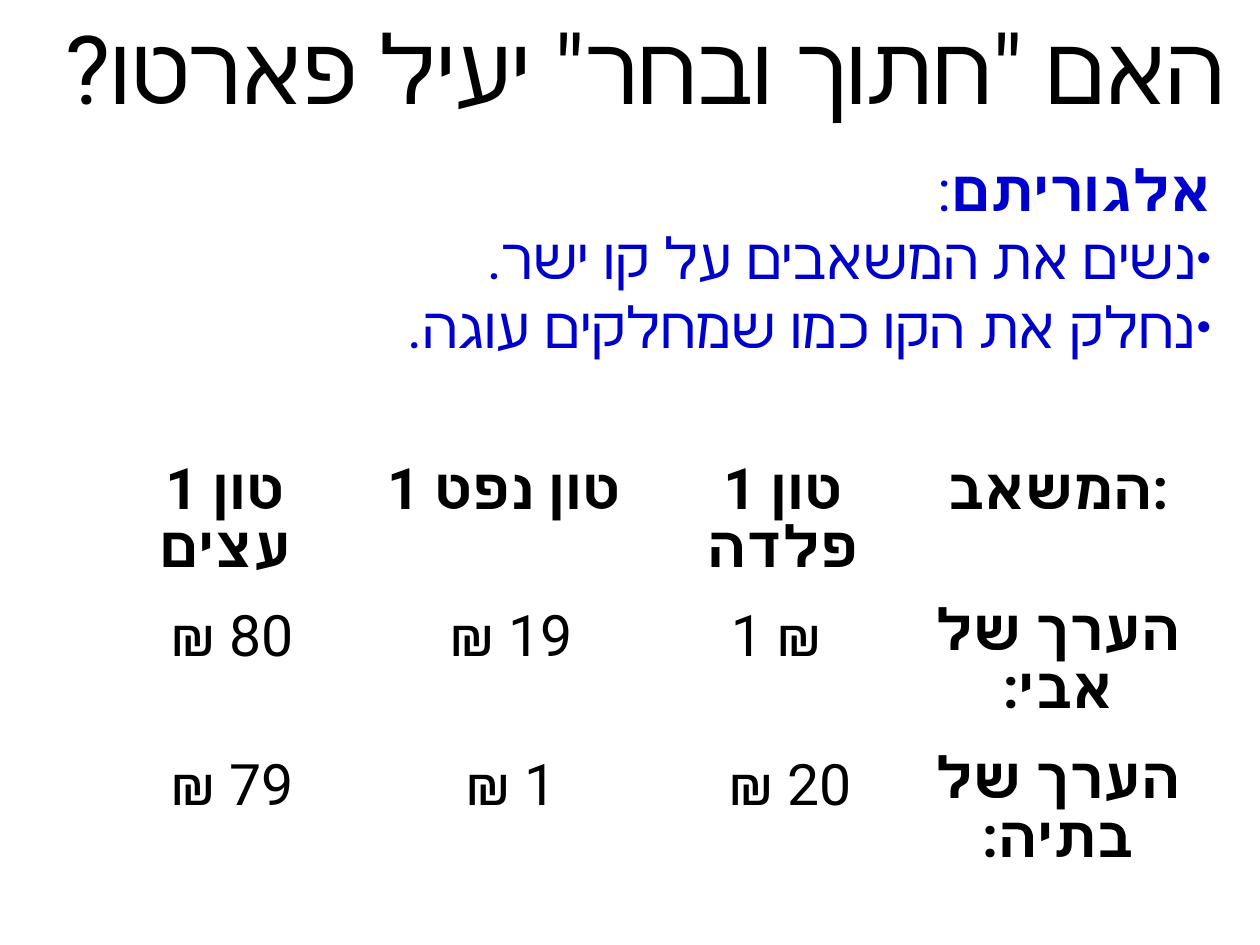
from dataclasses import dataclass

from lxml import etree
from pptx import Presentation
from pptx.dml.color import RGBColor
from pptx.enum.text import MSO_ANCHOR, MSO_AUTO_SIZE, PP_ALIGN
from pptx.oxml.ns import qn
from pptx.util import Cm, Pt

CENTER, RIGHT = PP_ALIGN.CENTER, PP_ALIGN.RIGHT
TOP, MIDDLE = MSO_ANCHOR.TOP, MSO_ANCHOR.MIDDLE
NO_AUTOFIT = MSO_AUTO_SIZE.NONE

GRID_COLUMNS, GRID_ROWS = 28, 21
SLIDE_WIDTH, SLIDE_HEIGHT = Cm(28), Cm(21)
FONT = "Roboto"
BLACK, BLUE = "000000", "0000CC"
TIGHT_LINES = 0.87


def columns(count: float) -> int:
    return round(SLIDE_WIDTH * count / GRID_COLUMNS)


def rows(count: float) -> int:
    return round(SLIDE_HEIGHT * count / GRID_ROWS)


@dataclass(frozen=True)
class Area:
    left: float
    top: float
    width: float
    height: float

    def lengths(self) -> tuple[int, int, int, int]:
        return columns(self.left), rows(self.top), columns(self.width), rows(self.height)


@dataclass(frozen=True)
class Phrase:
    text: str
    bold: bool = False


@dataclass(frozen=True)
class Line:
    phrases: tuple[Phrase, ...]
    bullet: bool = False


@dataclass(frozen=True)
class Entry:
    text: str
    bold: bool = False
    rtl: bool = False
    top_margin: float = 0.13


TITLE_AREA = Area(0.51, 0.14, 27.69, 2.67)
ALGORITHM_AREA = Area(8.26, 3.3, 18.92, 6.15)
VALUES_AREA = Area(1.9, 10.01, 24.62, 9.14)
COLUMN_WIDTHS = (6.2, 6.2, 6.2, 6.02)
ROW_HEIGHTS = (3.28, 3.3, 2.56)

TITLE = Phrase('האם "חתוך ובחר" יעיל פארטו?')
ALGORITHM = (
    Line((Phrase("אלגוריתם", bold=True), Phrase(":"))),
    Line((Phrase("נשים את המשאבים על קו ישר."),), bullet=True),
    Line((Phrase("נחלק את הקו כמו שמחלקים עוגה."),), bullet=True),
)
RESOURCES = ("1 טון עצים", "1 טון נפט", "1 טון פלדה", "המשאב:")
VALUATIONS = (
    ((" ₪ 80", " ₪ 19", "1 ₪ "), "הערך של אבי:"),
    ((" ₪ 79", " ₪ 1", " ₪ 20"), "הערך של בתיה:"),
)


def rgb(color: str) -> RGBColor:
    return RGBColor.from_string(color)


def add_phrase(paragraph, phrase: Phrase, size: float, color: str) -> None:
    run = paragraph.add_run()
    run.text = phrase.text
    run.font.name = FONT
    run.font.size = Pt(size)
    run.font.bold = phrase.bold
    run.font.color.rgb = rgb(color)
    properties = run.font._element
    properties.set("kern", "0")
    etree.SubElement(properties, qn("a:cs"), typeface=FONT)


def format_paragraph(paragraph, alignment: PP_ALIGN, rtl: bool,
                     line_spacing: float = 1.0) -> None:
    paragraph.alignment = alignment
    paragraph.line_spacing = line_spacing
    paragraph.space_before = Pt(0)
    properties = paragraph._p.get_or_add_pPr()
    properties.set("rtl", str(int(rtl)))
    properties.set("marL", "0")
    properties.set("indent", "0")


def set_bullet(paragraph, shown: bool) -> None:
    properties = paragraph._p.get_or_add_pPr()
    if shown:
        etree.SubElement(properties, qn("a:buSzPct"), val="45000")
        etree.SubElement(properties, qn("a:buChar"), char="●")
    else:
        etree.SubElement(properties, qn("a:buNone"))


def place(placeholder, area: Area, anchor: MSO_ANCHOR):
    placeholder.left, placeholder.top, placeholder.width, placeholder.height = area.lengths()
    frame = placeholder.text_frame
    frame.auto_size = NO_AUTOFIT
    frame.word_wrap = True
    frame.vertical_anchor = anchor
    return frame


def fill_title(placeholder) -> None:
    frame = place(placeholder, TITLE_AREA, MIDDLE)
    frame.margin_left = frame.margin_right = frame.margin_top = frame.margin_bottom = 0
    format_paragraph(frame.paragraphs[0], CENTER, rtl=True)
    add_phrase(frame.paragraphs[0], TITLE, 60, BLACK)


def fill_algorithm(placeholder) -> None:
    frame = place(placeholder, ALGORITHM_AREA, TOP)
    for index, line in enumerate(ALGORITHM):
        paragraph = frame.add_paragraph() if index else frame.paragraphs[0]
        format_paragraph(paragraph, RIGHT, rtl=True)
        set_bullet(paragraph, line.bullet)
        for phrase in line.phrases:
            add_phrase(paragraph, phrase, 36, BLUE)


def value_rows() -> list[list[Entry]]:
    header = [Entry(name, bold=True, top_margin=0.28) for name in RESOURCES]
    body = [[*map(Entry, amounts), Entry(label, bold=True, rtl=True)]
            for amounts, label in VALUATIONS]
    return [header, *body]


def fill_cell(cell, entry: Entry) -> None:
    cell.fill.background()
    cell.vertical_anchor = TOP
    cell.margin_top = rows(entry.top_margin)
    cell.margin_bottom = rows(0.13)
    paragraph = cell.text_frame.paragraphs[0]
    format_paragraph(paragraph, CENTER, entry.rtl, TIGHT_LINES if entry.bold else 1.0)
    add_phrase(paragraph, Phrase(entry.text, entry.bold), 36, BLACK)


def add_values(slide) -> None:
    table = slide.shapes.add_table(
        len(ROW_HEIGHTS), len(COLUMN_WIDTHS), *VALUES_AREA.lengths()).table
    table.first_row = table.horz_banding = False
    for column, width in zip(table.columns, COLUMN_WIDTHS):
        column.width = columns(width)
    for row, height, entries in zip(table.rows, ROW_HEIGHTS, value_rows()):
        row.height = rows(height)
        for cell, entry in zip(row.cells, entries):
            fill_cell(cell, entry)


def main() -> None:
    presentation = Presentation()
    presentation.slide_width, presentation.slide_height = SLIDE_WIDTH, SLIDE_HEIGHT
    slide = presentation.slides.add_slide(presentation.slide_layouts[1])
    fill_title(slide.shapes.title)
    fill_algorithm(slide.placeholders[1])
    add_values(slide)
    presentation.save("out.pptx")


if __name__ == "__main__":
    main()
